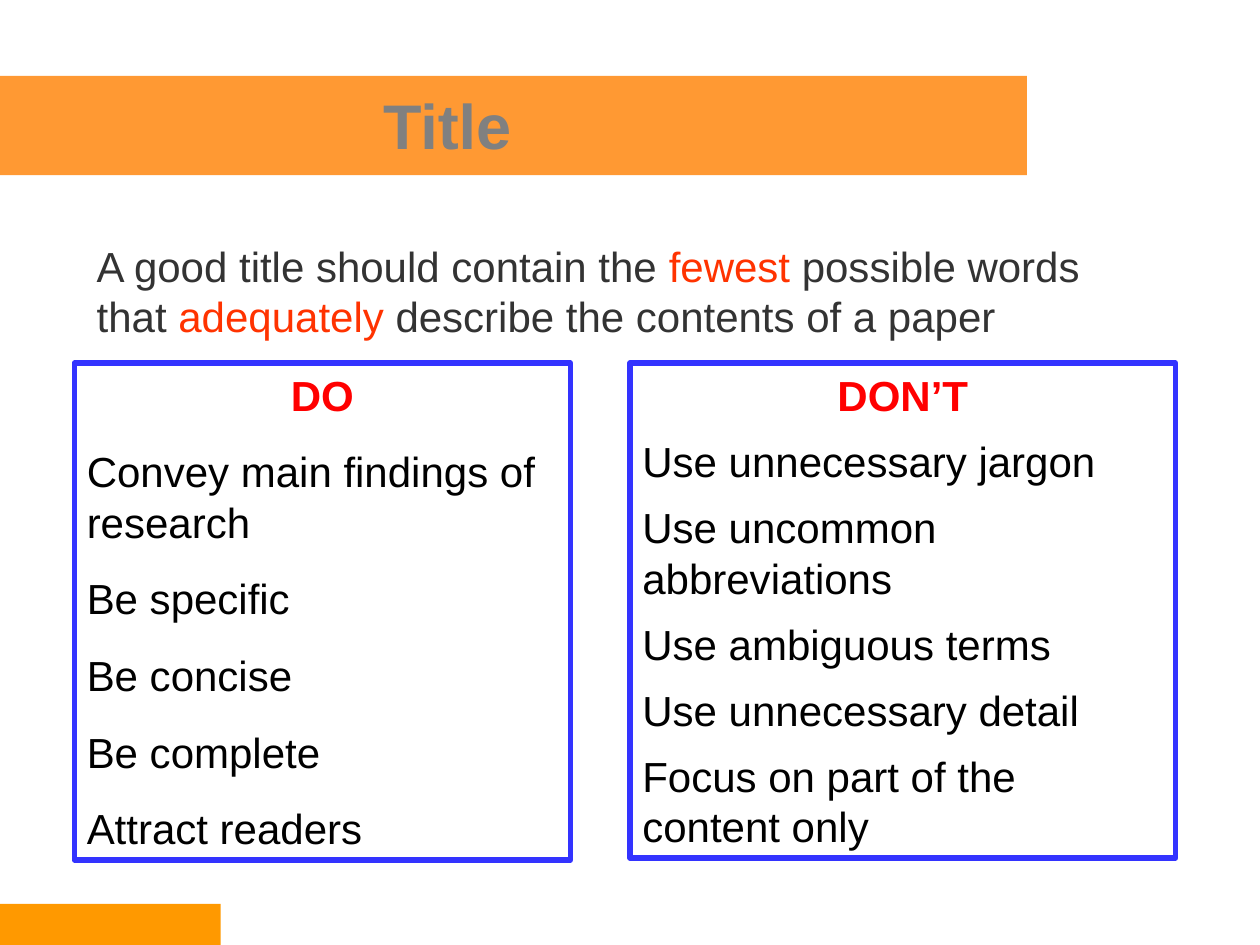
from pptx import Presentation
from pptx.dml.color import RGBColor
from pptx.enum.shapes import MSO_SHAPE
from pptx.enum.text import MSO_ANCHOR, PP_ALIGN
from pptx.util import Cm, Pt

RECTANGLE = MSO_SHAPE.RECTANGLE
LEFT, CENTER = PP_ALIGN.LEFT, PP_ALIGN.CENTER
TOP, MIDDLE = MSO_ANCHOR.TOP, MSO_ANCHOR.MIDDLE
TITLE_ONLY = 5

GRAY, DARK, BLACK = "808080", "333333", "000000"
RED, HIGHLIGHT, BLUE = "FF0000", "FF3300", "3333FF"


def color(hex_string):
    return RGBColor.from_string(hex_string)


class SlideBuilder:
    font_name = "Arial"
    body_size = 24
    line_height = 28.8

    def __init__(self, slide):
        self.slide = slide

    def add_run(self, paragraph, text, hex_color, size=body_size, bold=False):
        run = paragraph.add_run()
        run.text = text
        run.font.name = self.font_name
        run.font.size = Pt(size)
        run.font.bold = bold
        run.font.color.rgb = color(hex_color)

    def title(self, text, *box):
        title = self.slide.shapes.title
        title.left, title.top, title.width, title.height = map(Cm, box)
        title.text_frame.vertical_anchor = MIDDLE
        paragraph = title.text_frame.paragraphs[0]
        paragraph.alignment = CENTER
        self.add_run(paragraph, text, GRAY, 36, True)

    def bar(self, fill, *box):
        shape = self.slide.shapes.add_shape(RECTANGLE, *map(Cm, box))
        shape.shadow.inherit = False
        shape.fill.solid()
        shape.fill.fore_color.rgb = color(fill)
        shape.line.fill.background()
        # Bars stay behind the title placeholder
        self.slide.shapes.title._element.addprevious(shape._element)

    def statement(self, parts, *box):
        """Add a paragraph made of (text, color) parts."""
        frame = self.slide.shapes.add_textbox(*map(Cm, box)).text_frame
        frame.word_wrap = True
        paragraph = frame.paragraphs[0]
        paragraph.line_spacing = Pt(self.line_height)
        for text, hex_color in parts:
            self.add_run(paragraph, text, hex_color)

    def advice_box(self, heading, items, gap, *box):
        """Add an outlined list whose paragraphs are gap points apart."""
        shape = self.slide.shapes.add_shape(RECTANGLE, *map(Cm, box))
        shape.shadow.inherit = False
        shape.fill.background()
        shape.line.color.rgb = color(BLUE)
        shape.line.width = Pt(3)
        frame = shape.text_frame
        frame.word_wrap = True
        frame.vertical_anchor = TOP
        paragraph = frame.paragraphs[0]
        paragraph.alignment = CENTER
        paragraph.line_spacing = Pt(self.line_height)
        self.add_run(paragraph, heading, RED, bold=True)
        for item in items:
            paragraph = frame.add_paragraph()
            paragraph.alignment = LEFT
            paragraph.line_spacing = Pt(self.line_height)
            paragraph.space_before = Pt(gap)
            self.add_run(paragraph, item, BLACK)


def main():
    presentation = Presentation()
    presentation.slide_width, presentation.slide_height = Cm(25.4), Cm(19.05)
    layout = presentation.slide_layouts[TITLE_ONLY]
    builder = SlideBuilder(presentation.slides.add_slide(layout))

    builder.bar("FF9900", 0, 18.22, 4.45, 0.83)
    builder.bar("FF9933", 0, 1.53, 20.7, 2)
    builder.title("Title", 1.7, 0.91, 14.63, 3.18)
    builder.statement([
        ("A good title should contain the ", DARK),
        ("fewest", HIGHLIGHT),
        (" possible words that ", DARK),
        ("adequately", HIGHLIGHT),
        (" describe the contents of a paper", DARK),
    ], 1.7, 4.72, 21.8, 2.29)
    builder.advice_box("DO", [
        "Convey main findings of research",
        "Be specific",
        "Be concise",
        "Be complete",
        "Attract readers",
    ], 15, 1.5, 7.32, 10, 10.02)
    builder.advice_box("DON’T", [
        "Use unnecessary jargon",
        "Use uncommon abbreviations",
        "Use ambiguous terms",
        "Use unnecessary detail",
        "Focus on part of the content only",
    ], 9, 12.7, 7.32, 11, 9.98)

    presentation.save("out.pptx")


if __name__ == "__main__":
    main()
